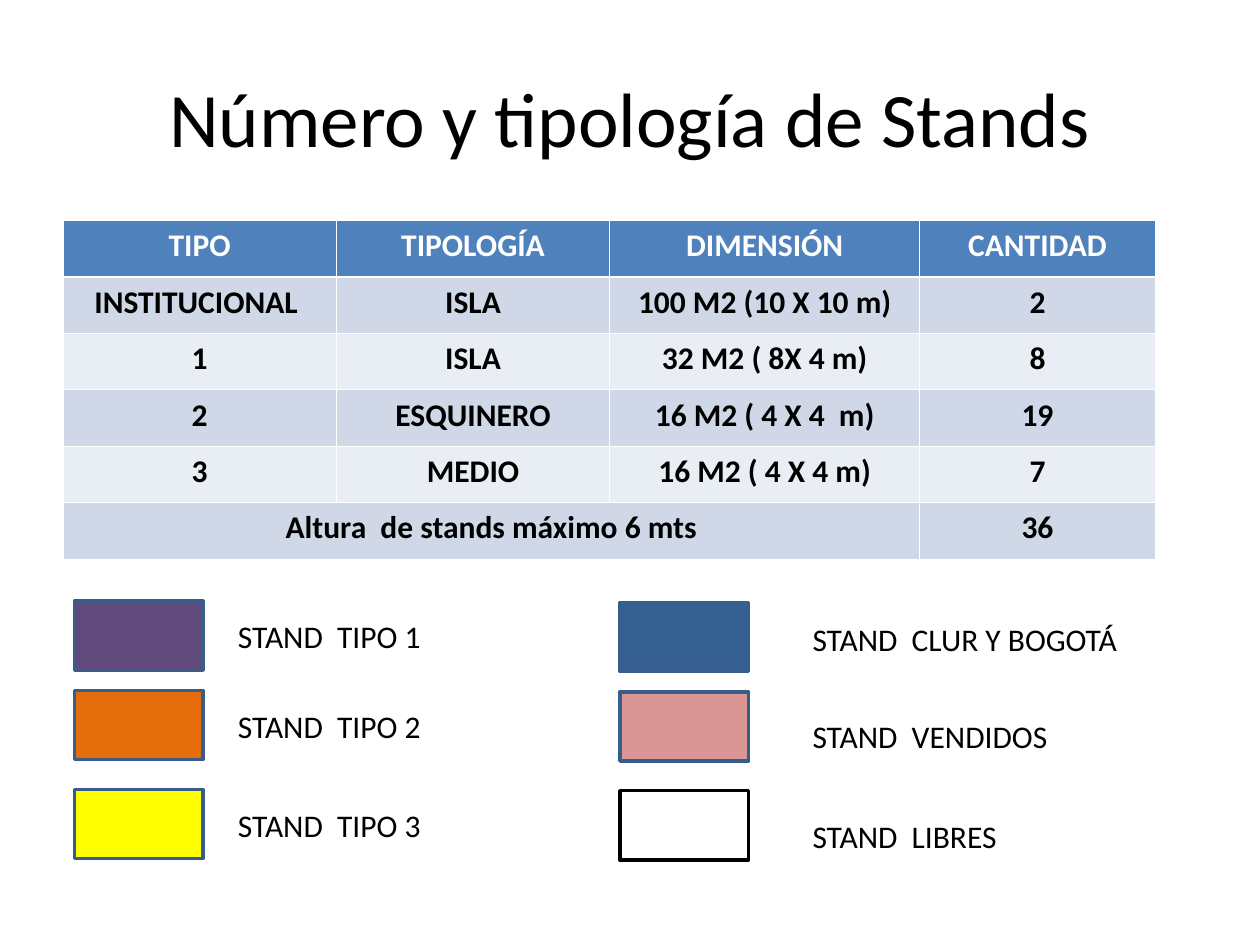
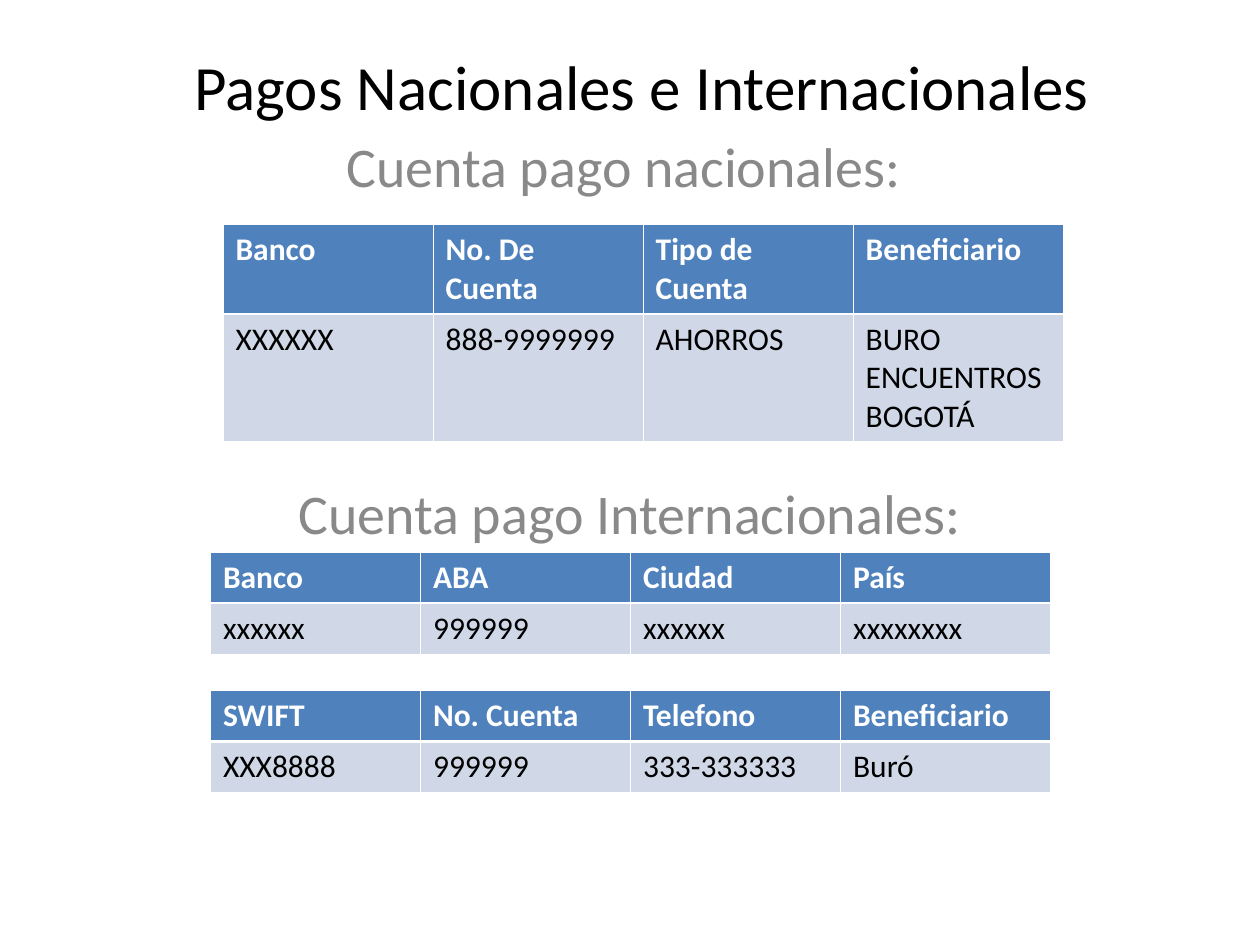
from lxml import etree
from pptx import Presentation
from pptx.dml.color import RGBColor
from pptx.enum.shapes import MSO_SHAPE
from pptx.enum.text import MSO_ANCHOR, MSO_AUTO_SIZE, PP_ALIGN
from pptx.oxml.ns import qn
from pptx.util import Inches, Pt

RECT = MSO_SHAPE.RECTANGLE
LEFT, CENTER = PP_ALIGN.LEFT, PP_ALIGN.CENTER
MIDDLE, TOP = MSO_ANCHOR.MIDDLE, MSO_ANCHOR.TOP
FIXED = MSO_AUTO_SIZE.NONE

FONT = "Calibri"
COLORS = {
    "black": "000000", "white": "FFFFFF", "gray": "898989",
    "head": "4F81BD", "dark": "D0D8E8", "light": "E9EDF4",
    "edge": "385D8A", "purple": "604A7B", "orange": "E46C0A",
    "yellow": "FFFF00", "blue": "376092", "pink": "D99694",
}
THIN, THICK = 0.45, 1.47

# The slide is a grid of 100 columns by 75 rows
WIDTH, HEIGHT = Inches(10), Inches(7.5)
COL, ROW = WIDTH / 100, HEIGHT / 75


def place(box):
    x, y, w, h = box
    return int(x * COL), int(y * ROW), int(w * COL), int(h * ROW)


def color(name):
    return RGBColor.from_string(COLORS[name])


def style(par, size, tint="black", bold=False, align=LEFT):
    par.alignment = align
    font = par.font
    font.name, font.size, font.bold = FONT, Pt(size), bold
    font.color.rgb = color(tint)


def fill_in(shape, box, text, size, tint="black", anchor=TOP):
    """Place a centred heading in a placeholder or text box."""
    shape.left, shape.top, shape.width, shape.height = place(box)
    frame = shape.text_frame
    frame.word_wrap, frame.auto_size = True, FIXED
    frame.vertical_anchor = anchor
    frame.text = text
    par = frame.paragraphs[0]
    style(par, size, tint, align=CENTER)
    return par


def subhead(shape, box, text):
    fill_in(shape, box, text, 32, "gray").space_before = Pt(8)


def border(cell, first, second):
    """Draw white cell edges, heavier below the header row."""
    props = cell._tc.get_or_add_tcPr()
    widths = {"lnL": THIN, "lnR": THIN,
              "lnT": THICK if second else THIN,
              "lnB": THICK if first else THIN}
    for spot, (side, width) in enumerate(widths.items()):
        line = etree.Element(qn("a:" + side), w=str(Pt(width)))
        solid = etree.SubElement(line, qn("a:solidFill"))
        etree.SubElement(solid, qn("a:srgbClr"), val=COLORS["white"])
        props.insert(spot, line)


def grid(slide, box, rows, cols, highs, bold=False, align=LEFT):
    """Add a table with a blue header and banded rows."""
    x, y, _, _ = box
    size = x, y, sum(cols), sum(highs)
    table = slide.shapes.add_table(len(rows), len(cols), *place(size)).table
    table.horz_banding = False
    for col, width in zip(table.columns, cols):
        col.width = int(width * COL)
    for r, (row, high) in enumerate(zip(rows, highs)):
        table.rows[r].height = int(high * ROW)
        band = "head" if r == 0 else "dark" if r % 2 else "light"
        for c, text in enumerate(row):
            cell = table.cell(r, c)
            cell.text = text
            cell.fill.solid()
            cell.fill.fore_color.rgb = color(band)
            border(cell, r == 0, r == 1)
            tint = "black" if r else "white"
            style(cell.text_frame.paragraphs[0], 18, tint,
                  bold or r == 0, align)
    return table


def key(slide, box, items, shift):
    """Stack colour swatches with a label to the right of each."""
    x, y, w, h = box
    for step, (tint, edge, text, wide, drop) in zip((0, 7.1, 14.95), items):
        spot = x, y + step, w, h
        swatch = slide.shapes.add_shape(RECT, *place(spot))
        swatch.shadow.inherit = False
        swatch.fill.solid()
        swatch.fill.fore_color.rgb = color(tint)
        swatch.line.color.rgb = color(edge)
        swatch.line.width = Pt(2)
        spot = x + shift, y + step + drop, wide, 4
        label = slide.shapes.add_textbox(*place(spot))
        frame = label.text_frame
        frame.word_wrap = False
        frame.text = text
        style(frame.paragraphs[0], 18)


def stands(deck):
    """Stand types: table above, colour key below."""
    slide = deck.slides.add_slide(deck.slide_layouts[5])
    fill_in(slide.shapes.title, (5, 3, 90, 12.5),
            "Número y tipología de Stands", 44, anchor=MIDDLE)
    rows = [
        ("TIPO", "TIPOLOGÍA", "DIMENSIÓN", "CANTIDAD"),
        ("INSTITUCIONAL ", "ISLA", "100 M2 (10 X 10 m)", "2"),
        ("1", "ISLA", "32 M2 ( 8X 4 m)", "8"),
        ("2", "ESQUINERO", "16 M2 ( 4 X 4  m)", "19"),
        ("3", "MEDIO", "16 M2 ( 4 X 4 m)", "7"),
        ("Altura  de stands máximo 6 mts", "", "", "36"),
    ]
    table = grid(slide, (5, 17.5, 86.7, 26.9), rows,
                 (21.7, 21.7, 24.6, 18.7), [4.48] * len(rows),
                 bold=True, align=CENTER)
    table.cell(5, 0).merge(table.cell(5, 2))

    # Colour key: types on the left, holders on the right
    key(slide, (5.9, 47.7, 10.2, 5.5), [
        ("purple", "edge", "STAND  TIPO 1", 16.7, 0.8),
        ("orange", "edge", "STAND  TIPO 2", 16.7, 0.8),
        ("yellow", "edge", "STAND  TIPO 3", 16.7, 0.8),
    ], 12)
    key(slide, (49.2, 47.8, 10.2, 5.5), [
        ("blue", "edge", "STAND  CLUR Y BOGOTÁ", 26.9, 0.9),
        ("pink", "edge", "STAND  VENDIDOS", 20.8, 1.5),
        ("white", "black", "STAND  LIBRES", 16.8, 1.6),
    ], 14.3)


def payments(deck):
    """Bank accounts: one national table, two international ones."""
    slide = deck.slides.add_slide(deck.slide_layouts[0])
    fill_in(slide.shapes.title, (9, 2.8, 85, 7.9),
            "Pagos Nacionales e Internacionales ", 36, anchor=MIDDLE)
    cols = [16.67] * 4

    # National account
    subhead(slide.placeholders[1], (5.1, 9.9, 89.8, 28.4),
            "Cuenta pago nacionales: ")
    grid(slide, (17.7, 17.8, 66.7, 17), [
        ("Banco", "No. De Cuenta", "Tipo de Cuenta", "Beneficiario"),
        ("XXXXXX", "888-9999999", "AHORROS", "BURO ENCUENTROS BOGOTÁ"),
    ], cols, (7, 10))

    # International account
    box = 5.1, 37.5, 89.8, 28.4
    subhead(slide.shapes.add_textbox(*place(box)), box,
            "Cuenta pago Internacionales:")
    parts = [
        [("Banco", "ABA", "Ciudad", "País"),
         ("xxxxxx", "999999", "xxxxxx", "xxxxxxxx")],
        [("SWIFT", "No. Cuenta", "Telefono", "Beneficiario"),
         ("XXX8888", "999999", "333-333333", "Buró")],
    ]
    for n, rows in enumerate(parts):
        grid(slide, (16.7, 43.8 + 11 * n, 66.7, 8.1), rows, cols,
             (4.05, 4.05))


def main():
    deck = Presentation()
    deck.slide_width, deck.slide_height = WIDTH, HEIGHT
    stands(deck)
    payments(deck)
    deck.save("out.pptx")


if __name__ == "__main__":
    main()
